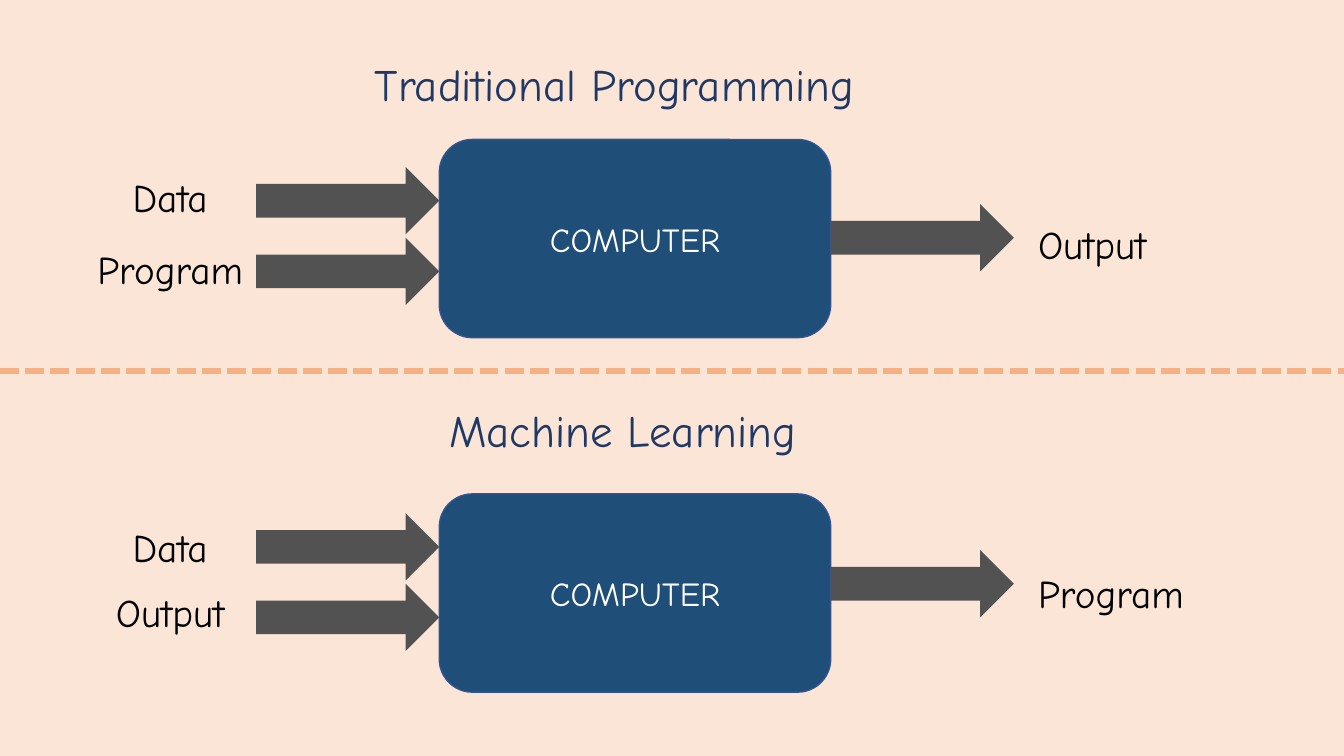
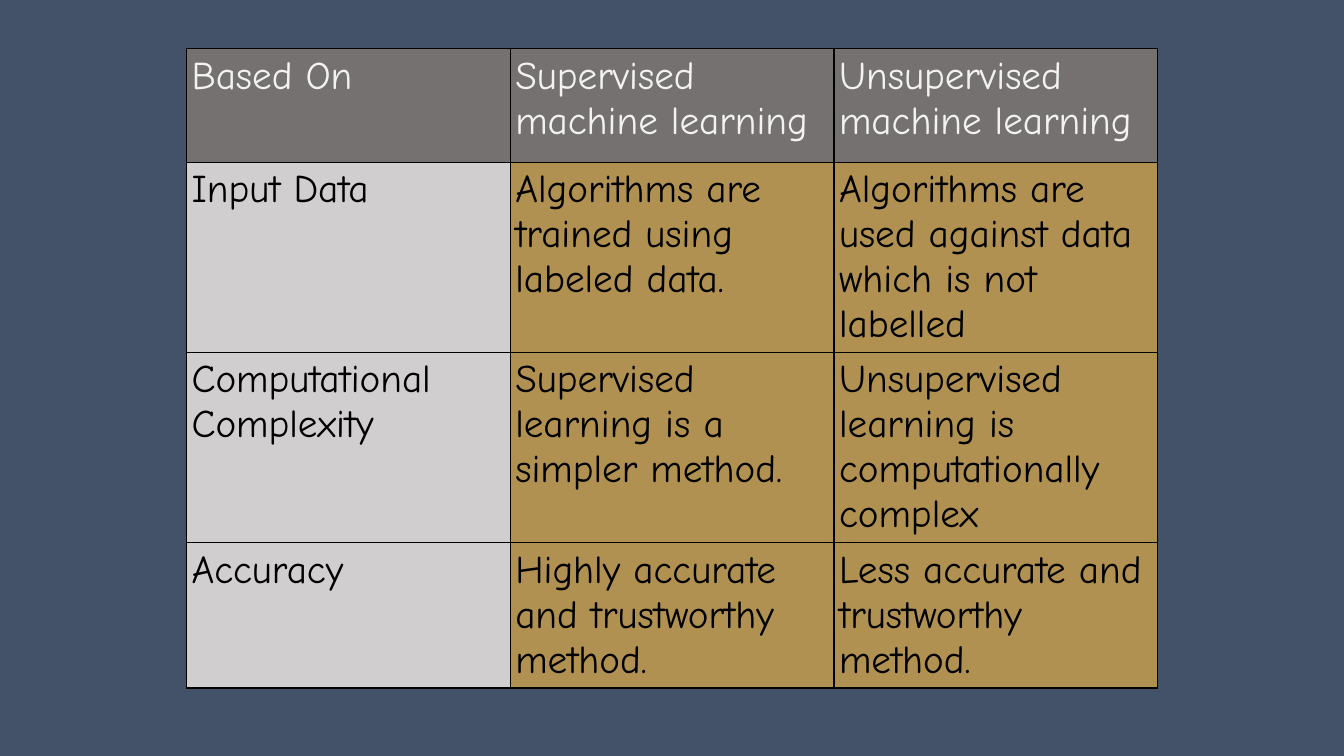
import dataclasses

import pptx
import pptx.dml.color
import pptx.enum.dml
import pptx.enum.shapes
import pptx.enum.text
import pptx.oxml
import pptx.oxml.ns
import pptx.util

# Grid: 160 columns by 90 rows of square cells, twelve to the inch
COLUMNS, ROWS = 160, 90
CELL = pptx.util.Inches(1) / 12

# Shared style
FONT = "Comic Neue"
BLACK, WHITE = "000000", "FFFFFF"
PEACH, SLATE = "FBE5D6", "435269"
NAVY, BOX_BLUE, BOX_EDGE = "203864", "1F4E79", "325491"
ARROW_GREY, DIVIDER_ORANGE = "525252", "F4B183"
HEADER_GREY, HEADER_TEXT = "767171", "F2F2F2"
LABEL_GREY, BODY_GOLD = "D0CECE", "B09151"
LABEL_SIZE, HEADING_SIZE, BOX_SIZE = 28, 32, 24

SHAPES = pptx.enum.shapes.MSO_SHAPE
ALIGN = pptx.enum.text.PP_ALIGN
ANCHOR = pptx.enum.text.MSO_ANCHOR
TITLE_ONLY, BLANK = 5, 6


@dataclasses.dataclass(frozen=True)
class Area:
    """A rectangle in grid cells."""
    column: float
    row: float
    width: float
    height: float

    def lengths(self) -> tuple[int, ...]:
        return tuple(cells(value) for value in dataclasses.astuple(self))


@dataclasses.dataclass(frozen=True)
class Flow:
    """Two inputs going into a computer and one result coming out."""
    heading: str
    heading_area: Area
    box_row: float
    arrow_row: float
    inputs: tuple[tuple[str, float], ...]
    result: tuple[str, float]


# Diagram columns and sizes
INPUT_COLUMN, INPUT_WIDTH = 10, 20.5
ARROW_COLUMN, ARROW_WIDTH, ARROW_HEIGHT = 30.5, 21.8, 8
ARROW_PITCH, RESULT_ARROW_DROP = 8.4, 4.4
BOX_COLUMN, BOX_WIDTH, BOX_HEIGHT = 52.3, 46.6, 23.6
RESULT_COLUMN, LABEL_HEIGHT = 122.4, 6.8
DIVIDER_ROW = 44.2

FLOWS = (
    Flow("Traditional Programming", Area(43.4, 6.2, 63.7, 7.7), 16.6, 19.9,
         (("Data", 20), ("Program", 28.6)), ("Output", 25.6)),
    Flow("Machine Learning", Area(52.3, 47.3, 46, 7.7), 58.8, 61.1,
         (("Data", 61.7), ("Output", 69.5)), ("Program", 67.2)),
)

# Comparison table
TABLE_COLUMN, TABLE_ROW, TABLE_COLUMN_WIDTH = 22.2, 5.8, 38.55
TABLE_ROW_HEIGHTS = (13.5, 22.6, 22.6, 17.2)
CELL_MARGIN = 0.6
COMPARISON = (
    ("Based On", "Supervised machine learning", "Unsupervised machine learning"),
    ("Input Data", "Algorithms are trained using labeled data.",
     "Algorithms are used against data which is not labelled"),
    ("Computational Complexity", "Supervised learning is a simpler method.",
     "Unsupervised learning is computationally complex"),
    ("Accuracy", "Highly accurate and trustworthy method.",
     "Less accurate and trustworthy method."),
)


def cells(count: float) -> int:
    return round(count * CELL)


def color(hex_string: str) -> pptx.dml.color.RGBColor:
    return pptx.dml.color.RGBColor.from_string(hex_string)


def paint(fill, hex_string: str) -> None:
    fill.solid()
    fill.fore_color.rgb = color(hex_string)


def write(frame, text: str, size: float, hex_string: str,
          align=ALIGN.LEFT, anchor=ANCHOR.TOP) -> None:
    frame.word_wrap = True
    frame.auto_size = pptx.enum.text.MSO_AUTO_SIZE.NONE
    frame.vertical_anchor = anchor
    write_run(frame.paragraphs[0], text, size, hex_string, align)


def write_run(paragraph, text: str, size: float, hex_string: str,
              align=ALIGN.LEFT) -> None:
    paragraph.alignment = align
    run = paragraph.add_run()
    run.text = text
    run.font.name = FONT
    run.font.size = pptx.util.Pt(size)
    run.font.color.rgb = color(hex_string)


def new_slide(presentation, layout: int, background: str):
    slide = presentation.slides.add_slide(presentation.slide_layouts[layout])
    paint(slide.background.fill, background)
    return slide


def add_shape(slide, kind, area: Area, fill: str, edge: str | None = None):
    shape = slide.shapes.add_shape(kind, *area.lengths())
    shape.shadow.inherit = False
    paint(shape.fill, fill)
    if edge:
        paint(shape.line.fill, edge)
        shape.line.width = pptx.util.Pt(1)
    else:
        shape.line.fill.background()
    return shape


def add_label(slide, text: str, area: Area, align=ALIGN.LEFT,
              size: float = LABEL_SIZE, hex_string: str = BLACK) -> None:
    box = slide.shapes.add_textbox(*area.lengths())
    write(box.text_frame, text, size, hex_string, align)


def set_title(slide, text: str, area: Area) -> None:
    title = slide.shapes.title
    title.left, title.top, title.width, title.height = area.lengths()
    write(title.text_frame, text, HEADING_SIZE, NAVY)


def add_arrow(slide, column: float, row: float) -> None:
    area = Area(column, row, ARROW_WIDTH, ARROW_HEIGHT)
    add_shape(slide, SHAPES.RIGHT_ARROW, area, ARROW_GREY)


def add_flow(slide, flow: Flow) -> None:
    # Computer
    area = Area(BOX_COLUMN, flow.box_row, BOX_WIDTH, BOX_HEIGHT)
    box = add_shape(slide, SHAPES.ROUNDED_RECTANGLE, area, BOX_BLUE, BOX_EDGE)
    write(box.text_frame, "COMPUTER", BOX_SIZE, WHITE, ALIGN.CENTER, ANCHOR.MIDDLE)
    # Inputs
    for index, (text, row) in enumerate(flow.inputs):
        add_arrow(slide, ARROW_COLUMN, flow.arrow_row + index * ARROW_PITCH)
        add_label(slide, text, Area(INPUT_COLUMN, row, INPUT_WIDTH, LABEL_HEIGHT),
                  ALIGN.CENTER)
    # Result
    add_arrow(slide, BOX_COLUMN + BOX_WIDTH, flow.arrow_row + RESULT_ARROW_DROP)
    text, row = flow.result
    add_label(slide, text, Area(RESULT_COLUMN, row, INPUT_WIDTH, LABEL_HEIGHT))


def add_divider(slide) -> None:
    row = cells(DIVIDER_ROW)
    divider = slide.shapes.add_connector(
        pptx.enum.shapes.MSO_CONNECTOR.STRAIGHT, 0, row, cells(COLUMNS), row)
    paint(divider.line.fill, DIVIDER_ORANGE)
    divider.line.width = pptx.util.Pt(4.5)
    divider.line.dash_style = pptx.enum.dml.MSO_LINE.SQUARE_DOT
    properties = divider._element.spPr
    properties.append(pptx.oxml.parse_xml(
        f"<a:effectLst {pptx.oxml.ns.nsdecls('a')}/>"))


def border_cell(cell) -> None:
    properties = cell._tc.get_or_add_tcPr()
    for index, side in enumerate(("lnL", "lnR", "lnT", "lnB")):
        properties.insert(index, pptx.oxml.parse_xml(
            f"<a:{side} {pptx.oxml.ns.nsdecls('a')} w='12700'><a:solidFill>"
            f"<a:srgbClr val='{BLACK}'/></a:solidFill></a:{side}>"))


def cell_colors(row: int, column: int) -> tuple[str, str]:
    if row == 0:
        return HEADER_GREY, HEADER_TEXT
    return (LABEL_GREY if column == 0 else BODY_GOLD), BLACK


def add_comparison(slide) -> None:
    column_count = len(COMPARISON[0])
    area = Area(TABLE_COLUMN, TABLE_ROW, column_count * TABLE_COLUMN_WIDTH,
                sum(TABLE_ROW_HEIGHTS))
    table = slide.shapes.add_table(len(COMPARISON), column_count,
                                   *area.lengths()).table
    table.first_row = table.horz_banding = False
    for column in table.columns:
        column.width = cells(TABLE_COLUMN_WIDTH)
    for row, height in zip(table.rows, TABLE_ROW_HEIGHTS):
        row.height = cells(height)
    for row_index, texts in enumerate(COMPARISON):
        for column_index, text in enumerate(texts):
            cell = table.cell(row_index, column_index)
            fill, text_color = cell_colors(row_index, column_index)
            paint(cell.fill, fill)
            border_cell(cell)
            cell.margin_left = cell.margin_right = cells(CELL_MARGIN)
            cell.margin_top = cell.margin_bottom = cells(CELL_MARGIN)
            write_run(cell.text_frame.paragraphs[0], text, LABEL_SIZE, text_color)


def main() -> None:
    presentation = pptx.Presentation()
    presentation.slide_width = cells(COLUMNS)
    presentation.slide_height = cells(ROWS)

    # Programming compared with learning
    slide = new_slide(presentation, TITLE_ONLY, PEACH)
    traditional, learning = FLOWS
    set_title(slide, traditional.heading, traditional.heading_area)
    add_label(slide, learning.heading, learning.heading_area,
              size=HEADING_SIZE, hex_string=NAVY)
    for flow in FLOWS:
        add_flow(slide, flow)
    add_divider(slide)

    # Supervised compared with unsupervised
    add_comparison(new_slide(presentation, BLANK, SLATE))

    presentation.save("out.pptx")


if __name__ == "__main__":
    main()
